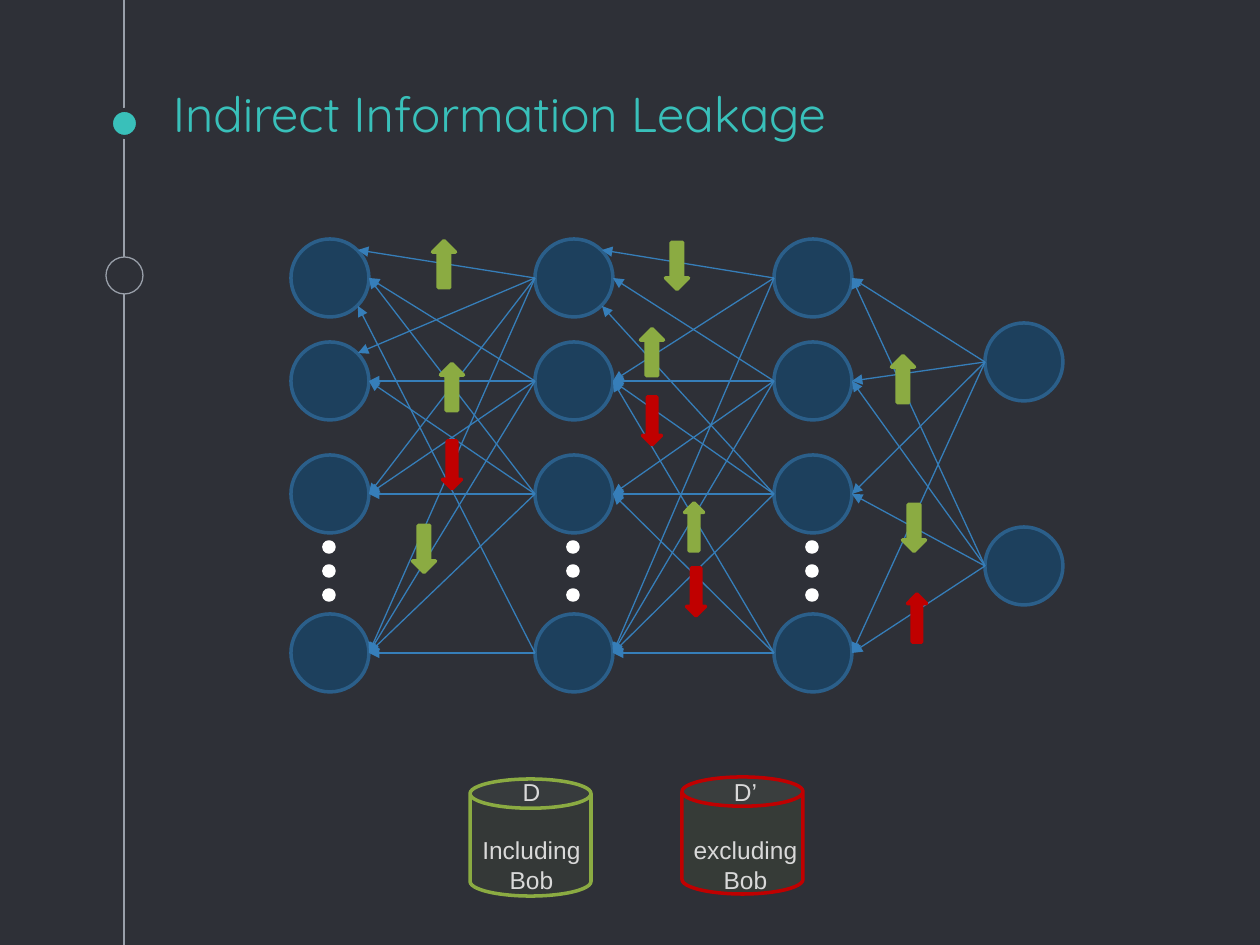
from lxml.etree import SubElement
from pptx import Presentation
from pptx.dml.color import RGBColor
from pptx.enum.shapes import MSO_CONNECTOR as Connector, MSO_SHAPE as Shape
from pptx.enum.text import MSO_ANCHOR as Anchor, PP_ALIGN as Align
from pptx.oxml.ns import qn
from pptx.util import Emu, Pt

BACKGROUND = RGBColor(0x2E, 0x30, 0x37)
TEAL = RGBColor(0x39, 0xC0, 0xBA)
GRAY = RGBColor(0x99, 0x9F, 0xA9)
NAVY = RGBColor(0x1D, 0x40, 0x5D)
NODE_EDGE = RGBColor(0x2B, 0x5F, 0x8A)
BLUE = RGBColor(0x36, 0x7E, 0xB9)
WHITE = RGBColor(0xFF, 0xFF, 0xFF)
GREEN = RGBColor(0x8B, 0xAB, 0x42)
RED = RGBColor(0xC0, 0x00, 0x00)
LIGHT = RGBColor(0xD9, 0xD9, 0xD9)

NODE = 78
UPPER, MIDDLE, LOWER = 11, NODE // 2, 67
UP, DOWN = 270, 90
HIDDEN_ROWS = [239, 342, 455, 614]
LAYERS = [(291, HIDDEN_ROWS), (535, HIDDEN_ROWS), (774, HIDDEN_ROWS), (985, [323, 527])]
DOT_ROWS = [542, 566, 590]

LINKS = [
    {0: [0, 1, 2, 3], 1: [0, 1, 2, 3], 2: [0, 1, 2, 3], 3: [0, 3]},
    {0: [0, 1, 3], 1: [0, 1, 2, 3], 2: [0, 1, 2, 3], 3: [1, 2, 3]},
    {0: [0, 1, 2, 3], 1: [0, 1, 2, 3]},
]
CORNER_PORTS = {
    (0, 0, 0): UPPER, (0, 0, 1): UPPER, (0, 3, 0): LOWER,
    (1, 0, 0): UPPER, (1, 2, 0): LOWER,
}

WIDE, NARROW = (47, 23), (48, 19)
CHANGES = [
    (444, 264, UP, WIDE, GREEN), (677, 266, DOWN, WIDE, GREEN),
    (914, 528, DOWN, WIDE, GREEN), (424, 549, DOWN, WIDE, GREEN),
    (652, 352, UP, WIDE, GREEN), (903, 379, UP, WIDE, GREEN),
    (694, 527, UP, NARROW, GREEN), (452, 387, UP, WIDE, GREEN),
    (696, 592, DOWN, NARROW, RED), (452, 465, DOWN, NARROW, RED),
    (652, 421, DOWN, NARROW, RED), (917, 618, UP, NARROW, RED),
]
DATASETS = [
    (470, 779, GREEN, 7, 461, ["D", "Including", "Bob"]),
    (682, 777, RED, 9, 675, ["D’", "excluding", "Bob"]),
]


def px(*lengths):
    return [Emu(round(length * 914400 / 126)) for length in lengths]


class SlideBuilder:
    text_font = "Arial"
    title_font = "Quicksand"

    def __init__(self, presentation):
        self.slide = presentation.slides.add_slide(presentation.slide_layouts[5])
        self.slide.background.fill.solid()
        self.slide.background.fill.fore_color.rgb = BACKGROUND

    def title(self, text, *box):
        shape = self.slide.shapes.title
        shape.left, shape.top, shape.width, shape.height = px(*box)
        frame = shape.text_frame
        frame.text = text
        frame.vertical_anchor = Anchor.BOTTOM
        frame.margin_left, frame.margin_top, frame.margin_right, frame.margin_bottom = px(13, 13, 13, 13)
        paragraph = frame.paragraphs[0]
        paragraph.alignment = Align.LEFT
        self.set_font(paragraph, self.title_font, 28, TEAL)

    def set_font(self, paragraph, name, size, color):
        paragraph.font.name = name
        paragraph.font.size = Pt(size)
        paragraph.font.color.rgb = color

    def shape(self, kind, box, fill, line, width=2, rotation=0, opacity=100):
        shape = self.slide.shapes.add_shape(kind, *px(*box))
        shape.shadow.inherit = False
        shape.rotation = rotation
        shape.fill.solid()
        shape.fill.fore_color.rgb = fill
        shape.line.color.rgb = line
        shape.line.width = Pt(width)
        if opacity < 100:
            color = shape.fill._xPr.find(qn("a:solidFill"))[0]
            SubElement(color, qn("a:alpha"), val=str(opacity * 1000))

    def line(self, start, end, color, arrow=False):
        connector = self.slide.shapes.add_connector(Connector.STRAIGHT, *px(*start, *end))
        connector.line.color.rgb = color
        connector.line.width = Pt(0.75)
        if arrow:
            SubElement(connector.line._get_or_add_ln(), qn("a:tailEnd"), type="triangle")
        SubElement(connector._element.spPr, qn("a:effectLst"))

    def label(self, lines, *box):
        frame = self.slide.shapes.add_textbox(*px(*box)).text_frame
        frame.word_wrap = True
        frame.text = "\n".join(lines)
        for paragraph in frame.paragraphs:
            paragraph.alignment = Align.CENTER
            self.set_font(paragraph, self.text_font, 14, LIGHT)
        frame.paragraphs[1].space_before = Pt(16.5)


def draw_timeline(builder):
    builder.line((124, 0), (124, 945), GRAY)
    builder.shape(Shape.OVAL, (111, 110, 27, 27), TEAL, BACKGROUND, 2.25)
    builder.shape(Shape.OVAL, (106, 257, 37, 37), BACKGROUND, GRAY, 0.75)


def draw_network(builder):
    for left, rows in LAYERS:
        for top in rows:
            builder.shape(Shape.OVAL, (left, top, NODE, NODE), NAVY, NODE_EDGE)
        if rows is HIDDEN_ROWS:
            for top in DOT_ROWS:
                builder.shape(Shape.OVAL, (left + 33, top, 10, 10), WHITE, WHITE)
    for layer, links in enumerate(LINKS):
        target_left, target_rows = LAYERS[layer]
        source_left, source_rows = LAYERS[layer + 1]
        for source, targets in links.items():
            for target in targets:
                port = CORNER_PORTS.get((layer, source, target), MIDDLE)
                reach = NODE if port == MIDDLE else LOWER
                start = (source_left, source_rows[source] + MIDDLE)
                end = (target_left + reach, target_rows[target] + port)
                builder.line(start, end, BLUE, arrow=True)


def draw_changes(builder):
    for center_x, center_y, rotation, (length, breadth), color in CHANGES:
        box = (center_x - length / 2, center_y - breadth / 2, length, breadth)
        builder.shape(Shape.RIGHT_ARROW, box, color, color, rotation=rotation)


def draw_datasets(builder):
    for left, top, color, opacity, label_left, lines in DATASETS:
        builder.shape(Shape.CAN, (left, top, 121, 117), GREEN, color, opacity=opacity)
        builder.label(lines, label_left, 771, 141, 131)


def main():
    presentation = Presentation()
    presentation.slide_width, presentation.slide_height = px(1260, 945)
    builder = SlideBuilder(presentation)
    draw_timeline(builder)
    builder.title("Indirect Information Leakage", 160, 92, 945, 63)
    draw_network(builder)
    draw_changes(builder)
    draw_datasets(builder)
    presentation.save("out.pptx")


if __name__ == "__main__":
    main()
